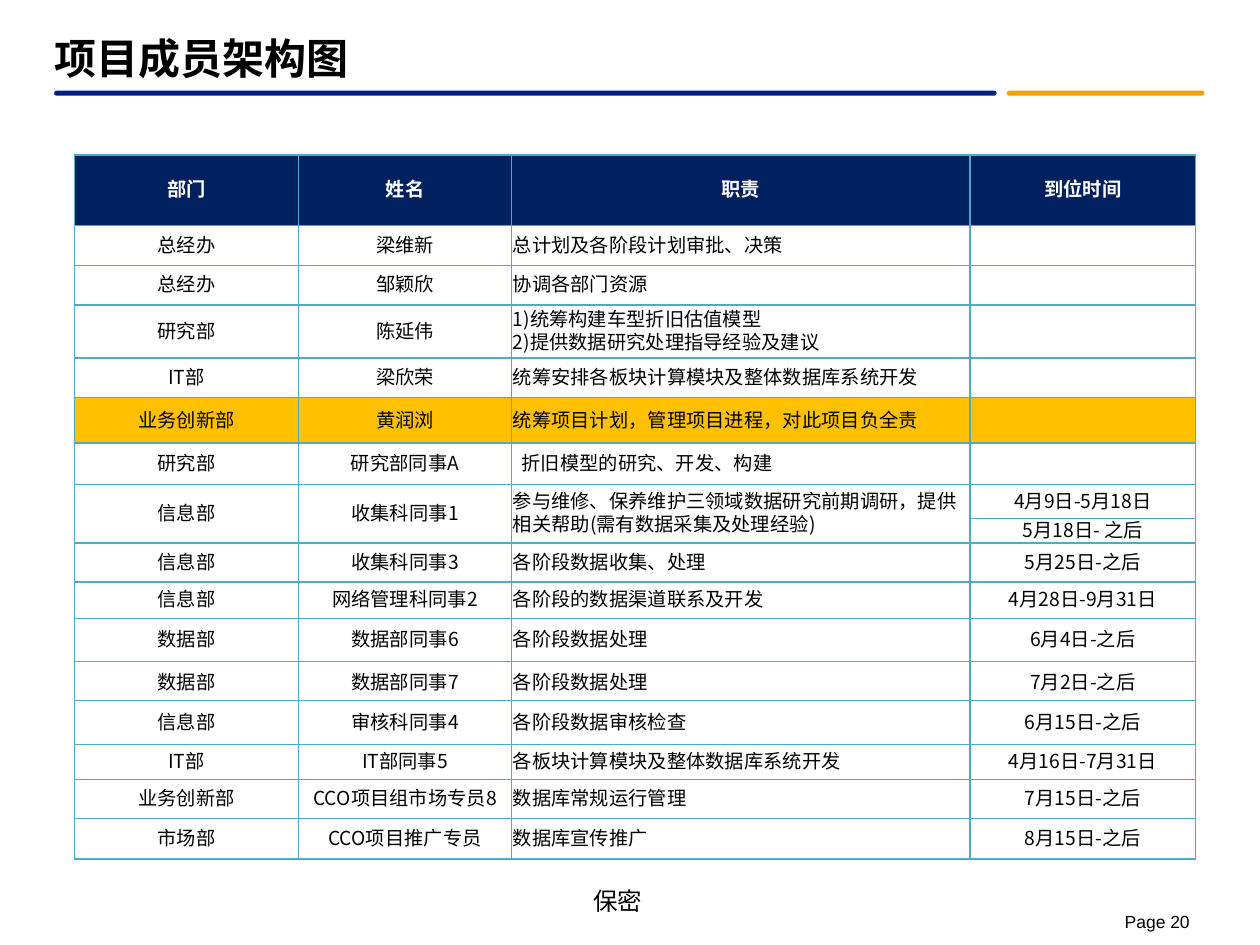
from dataclasses import dataclass

import lxml.etree
import pptx
import pptx.dml.color
import pptx.enum.shapes
import pptx.enum.text
import pptx.oxml.ns
import pptx.util

CJK = "Noto Sans CJK SC"
BLACK, WHITE, NAVY, AMBER, BORDER = "000000", "FFFFFF", "002060", "FFC000", "4BACC6"
ALIGN = pptx.enum.text.PP_ALIGN
MIDDLE = pptx.enum.text.MSO_ANCHOR.MIDDLE
SLIDE_WIDTH, SLIDE_HEIGHT = pptx.util.Inches(10), pptx.util.Inches(7.5)


@dataclass(frozen=True)
class Area:
    """A place given in percent of the slide's width and height."""
    left: float
    top: float
    width: float
    height: float

    def emu(self) -> tuple[int, int, int, int]:
        return (int(SLIDE_WIDTH * self.left / 100), int(SLIDE_HEIGHT * self.top / 100),
                int(SLIDE_WIDTH * self.width / 100), int(SLIDE_HEIGHT * self.height / 100))


@dataclass(frozen=True)
class Rule:
    area: Area
    color: str


@dataclass(frozen=True)
class Member:
    height: float
    department: str
    name: str
    duty: str
    arrival: str = ""
    fill: str | None = None
    fixed_spacing: bool = True
    duty_indent: float = 0

    def texts(self) -> tuple[str, str, str, str]:
        return self.department, self.name, self.duty, self.arrival


RULES = [
    Rule(Area(79.9, 9.6, 15.7, 0.53), "F5A000"),
    Rule(Area(4.3, 9.6, 74.8, 0.53), "031D89"),
]
COLUMN_WIDTHS = [1.78, 1.69, 3.64, 1.79]
HEADER = Member(0.56, "部门", "姓名", "职责", "到位时间", fill=NAVY)
MEMBERS = [
    Member(0.28, "总经办", "梁维新", "总计划及各阶段计划审批、决策"),
    Member(0.29, "总经办", "邹颖欣", "协调各部门资源"),
    Member(0.42, "研究部", "陈延伟", "1)统筹构建车型折旧估值模型\v2)提供数据研究处理指导经验及建议"),
    Member(0.29, "IT部", "梁欣荣", "统筹安排各板块计算模块及整体数据库系统开发"),
    Member(0.36, "业务创新部", "黄润浏", "统筹项目计划，管理项目进程，对此项目负全责", fill=AMBER),
    Member(0.33, "研究部", "研究部同事A", "折旧模型的研究、开发、构建", duty_indent=0.07),
    Member(0.27, "信息部", "收集科同事1",
           "参与维修、保养维护三领域数据研究前期调研，提供相关帮助(需有数据采集及处理经验)", "4月9日-5月18日"),
    Member(0.19, "", "", "", "5月18日- 之后"),  # second period of the member above
    Member(0.31, "信息部", "收集科同事3", "各阶段数据收集、处理", "5月25日-之后"),
    Member(0.29, "信息部", "网络管理科同事2", "各阶段的数据渠道联系及开发", "4月28日-9月31日"),
    Member(0.34, "数据部", "数据部同事6", "各阶段数据处理", "6月4日-之后"),
    Member(0.31, "数据部", "数据部同事7", "各阶段数据处理", "7月2日-之后", fixed_spacing=False),
    Member(0.35, "信息部", "审核科同事4", "各阶段数据审核检查", "6月15日-之后"),
    Member(0.28, "IT部", "IT部同事5", "各板块计算模块及整体数据库系统开发", "4月16日-7月31日"),
    Member(0.31, "业务创新部", "CCO项目组市场专员8", "数据库常规运行管理", "7月15日-之后"),
    Member(0.32, "市场部", "CCO项目推广专员", "数据库宣传推广", "8月15日-之后"),
]


def rgb(color: str) -> pptx.dml.color.RGBColor:
    return pptx.dml.color.RGBColor.from_string(color)


def write(frame, text: str, *, size: float, font: str = CJK, color: str = BLACK,
          bold: bool = False, align=ALIGN.LEFT, spacing: float | None = None,
          indent: float = 0) -> None:
    frame.text = text
    paragraph = frame.paragraphs[0]
    paragraph.alignment = align
    if spacing:
        paragraph.line_spacing = pptx.util.Pt(spacing)
    if indent:
        paragraph._p.get_or_add_pPr().set("marL", str(pptx.util.Inches(indent)))
    for run in paragraph.runs:
        run.font.size, run.font.bold, run.font.name = pptx.util.Pt(size), bold, font
        run.font.color.rgb = rgb(color)
        east_asian = lxml.etree.SubElement(run._r.get_or_add_rPr(), pptx.oxml.ns.qn("a:ea"))
        east_asian.set("typeface", font)


def set_frame(frame, wrap: bool = True) -> None:
    frame.word_wrap = wrap
    frame.vertical_anchor = MIDDLE
    frame.margin_top = frame.margin_bottom = 0
    frame.margin_left = frame.margin_right = pptx.util.Inches(0.1)


def draw_rule(slide, rule: Rule) -> None:
    bar = slide.shapes.add_shape(
        pptx.enum.shapes.MSO_SHAPE.ROUNDED_RECTANGLE, *rule.area.emu())
    bar.adjustments[0] = 0.5
    bar.shadow.inherit = False
    bar.fill.solid()
    bar.fill.fore_color.rgb = rgb(rule.color)
    bar.line.fill.background()


def draw_label(slide, area: Area, text: str, **text_format) -> None:
    label = slide.shapes.add_textbox(*area.emu())
    set_frame(label.text_frame)
    write(label.text_frame, text, **text_format)


def set_borders(cell, color: str, width: float) -> None:
    qn = pptx.oxml.ns.qn
    properties = cell._tc.get_or_add_tcPr()
    for position, side in enumerate(("a:lnL", "a:lnR", "a:lnT", "a:lnB")):
        line = lxml.etree.Element(qn(side), w=str(pptx.util.Pt(width)))
        fill = lxml.etree.SubElement(line, qn("a:solidFill"))
        lxml.etree.SubElement(fill, qn("a:srgbClr"), val=color)
        properties.insert(position, line)


def fill_cell(cell, text: str, member: Member, is_duty: bool) -> None:
    is_header = member is HEADER
    cell.margin_left = cell.margin_right = cell.margin_top = pptx.util.Inches(0.01)
    cell.margin_bottom = 0
    cell.vertical_anchor = MIDDLE
    if member.fill:
        cell.fill.solid()
        cell.fill.fore_color.rgb = rgb(member.fill)
    else:
        cell.fill.background()
    set_borders(cell, BORDER, 1)
    write(cell.text_frame, text, size=11, bold=is_header,
          color=WHITE if is_header else BLACK,
          align=ALIGN.LEFT if is_duty and not is_header else ALIGN.CENTER,
          spacing=13.2 if member.fixed_spacing else None,
          indent=member.duty_indent if is_duty else 0)


def draw_members(slide, area: Area, members: list[Member]) -> None:
    table = slide.shapes.add_table(len(members), len(COLUMN_WIDTHS), *area.emu()).table
    table.horz_banding = False
    for column, width in zip(table.columns, COLUMN_WIDTHS):
        column.width = pptx.util.Inches(width)
    for row_index, member in enumerate(members):
        table.rows[row_index].height = pptx.util.Inches(member.height)
        for column_index, text in enumerate(member.texts()):
            fill_cell(table.cell(row_index, column_index), text, member, column_index == 2)
    # A row without a department continues the member above
    for row_index, member in enumerate(members):
        if not member.department:
            for column_index in range(3):
                table.cell(row_index - 1, column_index).merge(
                    table.cell(row_index, column_index))


def main() -> None:
    deck = pptx.Presentation()
    deck.slide_width, deck.slide_height = SLIDE_WIDTH, SLIDE_HEIGHT
    slide = deck.slides.add_slide(deck.slide_layouts[5])

    # Title and the rules under it
    title = slide.shapes.title
    title.left, title.top, title.width, title.height = Area(3.2, 2.8, 25.6, 6.67).emu()
    set_frame(title.text_frame, wrap=False)
    write(title.text_frame, "项目成员架构图", size=24, bold=True, align=ALIGN.CENTER)
    for rule in RULES:
        draw_rule(slide, rule)

    # Project members
    draw_members(slide, Area(5.9, 16.4, 89, 73.33), [HEADER, *MEMBERS])

    # Footer
    draw_label(slide, Area(46.1, 93.07, 14.2, 4.53), "保密", size=14)
    draw_label(slide, Area(86.4, 96.13, 9, 2.8), "Page 20", size=10, font="Arial",
               align=ALIGN.RIGHT)
    deck.save("out.pptx")


if __name__ == "__main__":
    main()
